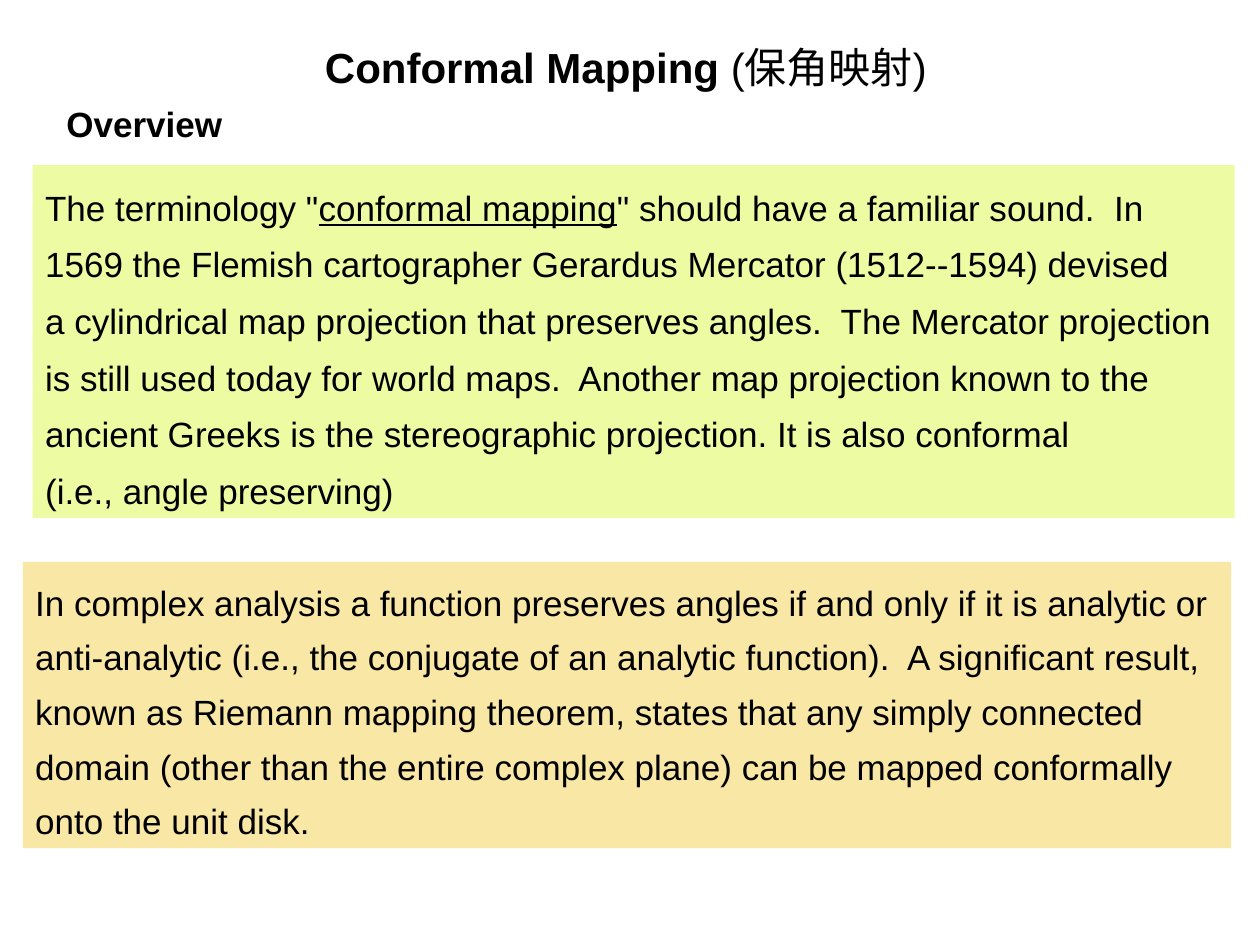
from pptx import Presentation
from pptx.dml.color import RGBColor
from pptx.enum.shapes import MSO_SHAPE as Shape
from pptx.enum.text import MSO_ANCHOR as Anchor, MSO_AUTO_SIZE as AutoSize, PP_ALIGN as Align
from pptx.util import Cm, Pt

BLACK = RGBColor(0x00, 0x00, 0x00)
LIME = RGBColor(0xED, 0xFC, 0xA2)
SAND = RGBColor(0xF9, 0xE7, 0xA5)

FRAME_FORMAT = {
    "vertical_anchor": Anchor.MIDDLE,
    "auto_size": AutoSize.SHAPE_TO_FIT_TEXT,
    "margin_left": Cm(0.25),
    "margin_right": Cm(0.25),
    "margin_top": Cm(0.13),
    "margin_bottom": Cm(0.13),
}


def write_lines(box, lines, size, spacing=1.0, wrap=False):
    frame = box.text_frame
    frame.word_wrap = wrap
    for name, value in FRAME_FORMAT.items():
        setattr(frame, name, value)
    for index, line in enumerate(lines):
        para = frame.add_paragraph() if index else frame.paragraphs[0]
        para.alignment = Align.LEFT
        para.line_spacing = spacing
        for text, span_format in line:
            span = para.add_run()
            span.text = text
            span.font.color.rgb = BLACK
            for name, value in {"name": "Arial", "size": Pt(size), **span_format}.items():
                setattr(span.font, name, value)


deck = Presentation()
deck.slide_width, deck.slide_height = Cm(25.4), Cm(19.05)
page = deck.slides.add_slide(deck.slide_layouts[5])

title = page.shapes.title
title_place = {"left": Cm(6.3), "top": Cm(0.71), "width": Cm(13.61), "height": Cm(1.27)}
for name, value in title_place.items():
    setattr(title, name, value)
write_lines(title, [[("Conformal Mapping", {"bold": True}), (" (保角映射)", {"bold": False})]], 24, wrap=True)

heading = page.shapes.add_textbox(Cm(1.09), Cm(1.93), Cm(3.84), Cm(1.12))
write_lines(heading, [[("Overview", {"bold": True})]], 20)

history = [
    [('The terminology "', {}), ("conformal mapping", {"underline": True}),
     ('" should have a familiar sound.  In', {})],
    [("1569 the Flemish cartographer Gerardus Mercator (1512--1594) devised", {})],
    [("a cylindrical map projection that preserves angles.  The Mercator projection", {})],
    [("is still used today for world maps.  Another map projection known to the", {})],
    [("ancient Greeks is the stereographic projection. It is also conformal", {})],
    [("(i.e., angle preserving)", {})],
]
analysis = [
    [("In complex analysis a function preserves angles if and only if it is analytic or", {})],
    [("anti-analytic (i.e., the conjugate of an analytic function).  A significant result,", {})],
    [("known as Riemann mapping theorem, states that any simply connected", {})],
    [("domain (other than the entire complex plane) can be mapped conformally", {})],
    [("onto the unit disk.", {})],
]
panels = [
    (history, LIME, 1.35, (0.66, 3.33, 24.23, 7.11)),
    (analysis, SAND, 1.3, (0.46, 11.33, 24.36, 5.77)),
]
for lines, colour, spacing, place in panels:
    panel = page.shapes.add_shape(Shape.RECTANGLE, *map(Cm, place))
    panel.shadow.inherit = False
    panel.fill.solid()
    panel.fill.fore_color.rgb = colour
    panel.line.fill.background()
    write_lines(panel, lines, 20, spacing)

deck.save("out.pptx")
